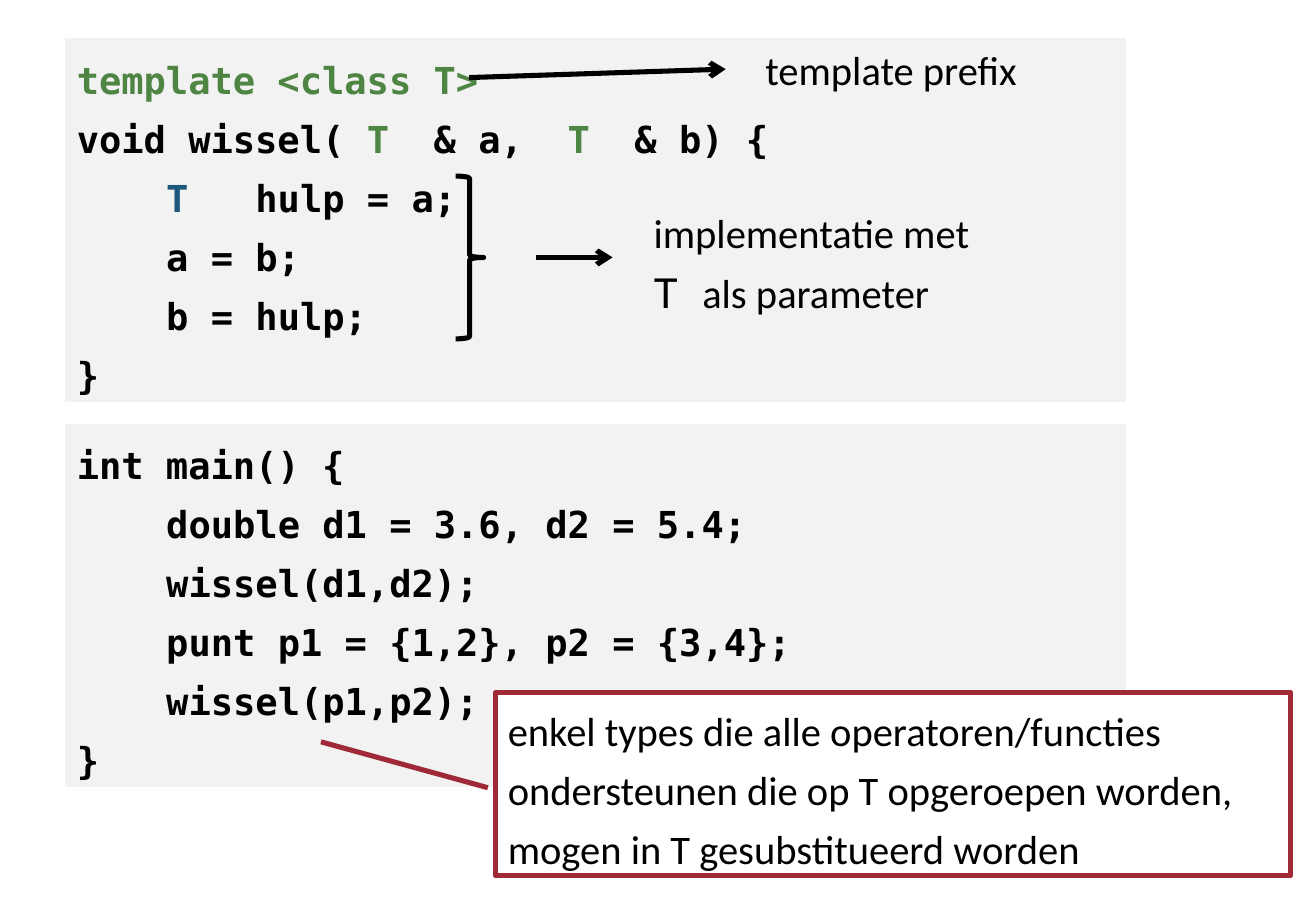
from dataclasses import dataclass

from lxml.etree import SubElement
from pptx import Presentation
from pptx.dml.color import RGBColor
from pptx.enum.shapes import MSO_CONNECTOR, MSO_SHAPE
from pptx.enum.text import MSO_ANCHOR, MSO_AUTO_SIZE, PP_ALIGN
from pptx.oxml.ns import qn
from pptx.util import Pt


@dataclass(frozen=True)
class Theme:
    ink: str = "000000"
    paper: str = "FFFFFF"
    panel: str = "F2F2F2"
    green: str = "4E8542"
    blue: str = "1B587C"
    red: str = "9F2936"
    prose: str = "Calibri"
    mono: str = "DejaVu Sans Mono"
    code_size: float = 22
    prose_size: float = 24
    leading: float = 35
    stroke: float = 3
    indent: float = 53


class CodeSlide:
    def __init__(self, slide, theme):
        self.slide = slide
        self.theme = theme

    def typeset(self, paragraph, parts, size, bold=False, leading=None):
        paragraph.alignment = PP_ALIGN.LEFT
        if leading:
            paragraph.line_spacing = Pt(leading)
        for text, font, color in parts:
            run = paragraph.add_run()
            run.text = text
            run.font.name = font
            run.font.size = Pt(size)
            run.font.bold = bold
            run.font.color.rgb = RGBColor.from_string(color)

    def paragraphs(self, frame, count):
        return [frame.paragraphs[0]] + [frame.add_paragraph() for _ in range(count - 1)]

    def outline(self, line, color):
        line.color.rgb = RGBColor.from_string(color)
        line.width = Pt(self.theme.stroke)

    def border(self, cell, side, width):
        edge = SubElement(cell._tc.get_or_add_tcPr(), qn(f"a:ln{side}"), w=str(Pt(width)))
        fill = SubElement(edge, qn("a:solidFill"))
        SubElement(fill, qn("a:srgbClr"), val=self.theme.paper)

    def code(self, left, top, width, lines):
        theme = self.theme
        height = len(lines) * theme.leading + 7.2
        table = self.slide.shapes.add_table(
            1, 1, Pt(left), Pt(top), Pt(width), Pt(height)).table
        table.first_row = table.horz_banding = False
        cell = table.cell(0, 0)
        for side, weight in (("L", 1), ("R", 1), ("T", 1), ("B", 3)):
            self.border(cell, side, weight)
        cell.fill.solid()
        cell.fill.fore_color.rgb = RGBColor.from_string(theme.panel)
        for paragraph, (level, parts) in zip(
                self.paragraphs(cell.text_frame, len(lines)), lines):
            paragraph._p.get_or_add_pPr().set("marL", str(Pt(level * theme.indent)))
            self.typeset(paragraph, [(text, theme.mono, color) for text, color in parts],
                         theme.code_size, True, theme.leading)

    def label(self, left, top, width, height, lines, leading=None):
        frame = self.slide.shapes.add_textbox(
            Pt(left), Pt(top), Pt(width), Pt(height)).text_frame
        frame.word_wrap = False
        frame.auto_size = MSO_AUTO_SIZE.SHAPE_TO_FIT_TEXT
        for paragraph, parts in zip(self.paragraphs(frame, len(lines)), lines):
            self.typeset(paragraph, [(text, font, self.theme.ink) for text, font in parts],
                         self.theme.prose_size, leading=leading)

    def arrow(self, *ends):
        connector = self.slide.shapes.add_connector(
            MSO_CONNECTOR.STRAIGHT, *(Pt(value) for value in ends))
        self.outline(connector.line, self.theme.ink)
        properties = connector._element.spPr
        SubElement(properties.find(qn("a:ln")), qn("a:tailEnd"), type="arrow")
        SubElement(properties, qn("a:effectLst"))

    def brace(self, left, top, width, height):
        brace = self.slide.shapes.add_shape(
            MSO_SHAPE.RIGHT_BRACE, Pt(left), Pt(top), Pt(width), Pt(height))
        brace.shadow.inherit = False
        brace.fill.background()
        self.outline(brace.line, self.theme.ink)

    def callout(self, left, top, width, height, pointer, text):
        theme = self.theme
        callout = self.slide.shapes.add_shape(
            MSO_SHAPE.LINE_CALLOUT_1, Pt(left), Pt(top), Pt(width), Pt(height))
        callout.shadow.inherit = False
        for position, value in enumerate(pointer):
            callout.adjustments[position] = value
        callout.fill.solid()
        callout.fill.fore_color.rgb = RGBColor.from_string(theme.paper)
        self.outline(callout.line, theme.red)
        frame = callout.text_frame
        frame.word_wrap = True
        frame.vertical_anchor = MSO_ANCHOR.MIDDLE
        self.typeset(frame.paragraphs[0], [(text, theme.prose, theme.ink)],
                     theme.prose_size, leading=theme.leading)


theme = Theme()
deck = Presentation()
deck.slide_width, deck.slide_height = Pt(779.76), Pt(540)
page = CodeSlide(deck.slides.add_slide(deck.slide_layouts[6]), theme)

ink, green, blue = theme.ink, theme.green, theme.blue
swap_template = [
    (0, [("template <class T>", green)]),
    (0, [("void wissel( ", ink), ("T", green), ("  & a,  ", ink),
         ("T", green), ("  & b) {", ink)]),
    (1, [("T", blue), ("   hulp = a;", ink)]),
    (1, [("a = b;", ink)]),
    (1, [("b = hulp;", ink)]),
    (0, [("}", ink)]),
]
main_program = [(level, [(text, ink)]) for level, text in (
    (0, "int main() {"),
    (1, "double d1 = 3.6, d2 = 5.4;"),
    (1, "wissel(d1,d2);"),
    (1, "punt p1 = {1,2}, p2 = {3,4};"),
    (1, "wissel(p1,p2);"),
    (0, "}"),
)]

code_left, code_width = 38.3, 629.3
page.code(code_left, 22.4, code_width, swap_template)
page.arrow(278, 46, 430, 41)
page.label(446.4, 23, 165, 36, [[("template prefix", theme.prose)]])
page.brace(270, 104.4, 16.6, 96.5)
page.label(380.2, 113.8, 208.8, 77.8, [
    [("implementatie met", theme.prose)],
    [("T ", theme.mono), ("als parameter", theme.prose)],
], theme.leading)
page.arrow(317.5, 152.6, 363, 152.6)
page.code(code_left, 250.6, code_width, main_program)
page.callout(293.8, 410.4, 470.9, 108.7, (0.52, -0.01, 0.27, -0.22),
             "enkel types die alle operatoren/functies ondersteunen "
             "die op T opgeroepen worden, mogen in T gesubstitueerd worden")

deck.save("out.pptx")
